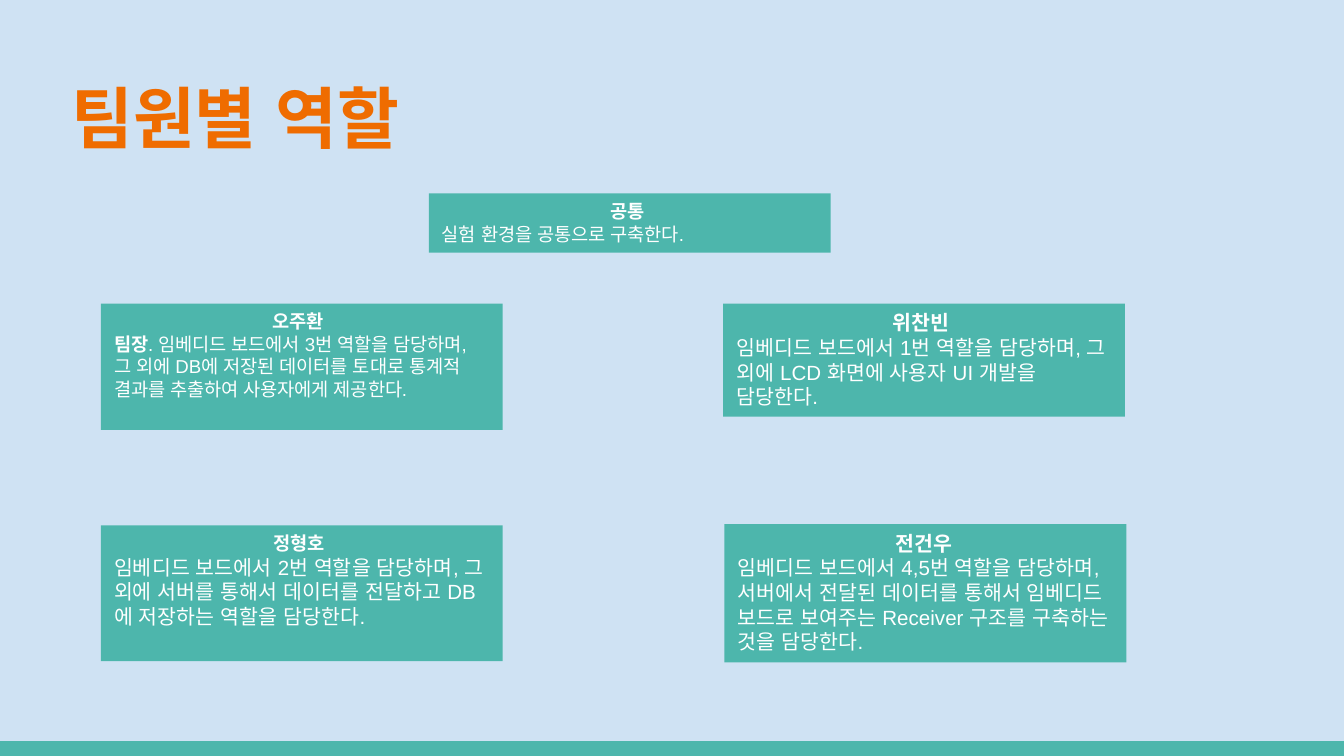
import pptx
import pptx.util
import pptx.dml.color
import pptx.enum.lang
import pptx.enum.shapes
import pptx.enum.text
import lxml.etree

TITLE = "팀원별 역할"
CARDS = [
    dict(name="공통 ", sizes=(10, 10), spot=(3.19, 1.44), tall=0.44, inset=0.1,
         body=[("실험 환경을 공통으로 구축한다.", False)]),
    dict(name="오주환 ", sizes=(10, 10), spot=(0.75, 2.26), tall=0.94, inset=0.11,
         body=[("팀장", True),
               (". 임베디드 보드에서 3번 역할을 담당하며, 그 외에 DB에 저장된 데이터를 "
                "토대로 통계적 결과를 추출하여 사용자에게 제공한다.", False)]),
    dict(name="위찬빈 ", sizes=(11, 11), spot=(5.38, 2.26), tall=0.84, inset=0.1,
         body=[("임베디드 보드에서 1번 역할을 담당하며, 그 외에 LCD 화면에 사용자 "
                "UI 개발을 담당한다.", False)]),
    dict(name="정형호 ", sizes=(10, 11), spot=(0.75, 3.91), tall=1.01, inset=0.1,
         body=[("임베디드 보드에서 2번 역할을 담당하며, 그 외에 서버를 통해서 데이터를 "
                "전달하고 DB에 저장하는 역할을 담당한다.", False)]),
    dict(name="전건우 ", sizes=(11, 11), spot=(5.39, 3.9), tall=1.03, inset=0.08,
         body=[("임베디드 보드에서 4,5번 역할을 담당하며, 서버에서 전달된 데이터를 통해서 "
                "임베디드 보드로 보여주는 Receiver 구조를 구축하는 것을 담당한다.", False)]),
]
THEME = dict(back="CFE2F3", teal="4DB6AC", head="EF6C00", text="FFFFFF",
             font="Arial", thin="Arial Narrow", big=36)
WIDE = 10
HIGH = WIDE * 9 / 16
CARD, BAR = 2.99, 0.11

Inch = pptx.util.Inches
Align = pptx.enum.text.PP_ALIGN
Anchor = pptx.enum.text.MSO_ANCHOR
Fit = pptx.enum.text.MSO_AUTO_SIZE
Korean = pptx.enum.lang.MSO_LANGUAGE_ID.KOREAN


def paint(fill, key):
    fill.solid()
    fill.fore_color.rgb = pptx.dml.color.RGBColor.from_string(THEME[key])


def apply(item, style):
    for key, value in style.items():
        setattr(item, key, value)


def align(para, side):
    para.alignment = side
    para._p.get_or_add_pPr().set("hangingPunct", "0")


def write(para, text, size, bold, color="text", font="font"):
    run = para.add_run()
    run.text = text
    apply(run.font, dict(size=pptx.util.Pt(size), bold=bold,
                         name=THEME[font], language_id=Korean))
    paint(run.font.fill, color)
    east = lxml.etree.SubElement(run.font._element, pptx.oxml.ns.qn("a:ea"))
    east.set("typeface", THEME["font"])


def block(slide, left, top, wide, tall):
    shape = slide.shapes.add_shape(
        pptx.enum.shapes.MSO_SHAPE.RECTANGLE,
        *map(Inch, (left, top, wide, tall)))
    shape.shadow.inherit = False
    paint(shape.fill, "teal")
    shape.line.fill.background()
    return shape


def card(slide, data):
    frame = block(slide, *data["spot"], CARD, data["tall"]).text_frame
    apply(frame, dict(word_wrap=True, vertical_anchor=Anchor.TOP,
                      margin_right=Inch(data["inset"]),
                      auto_size=Fit.SHAPE_TO_FIT_TEXT))
    name, body = frame.paragraphs[0], frame.add_paragraph()
    align(name, Align.CENTER)
    align(body, Align.LEFT)
    write(name, data["name"], data["sizes"][0], True)
    for text, bold in data["body"]:
        write(body, text, data["sizes"][1], bold)


def title(slide):
    shape = slide.shapes.title
    apply(shape, dict(left=Inch(0.43), top=Inch(0.47),
                      width=Inch(9.32), height=Inch(0.77)))
    frame = shape.text_frame
    apply(frame, dict(word_wrap=True, vertical_anchor=Anchor.TOP, auto_size=Fit.NONE))
    apply(frame, {"margin_" + side: Inch(0.1)
                  for side in ("left", "top", "right", "bottom")})
    para = frame.paragraphs[0]
    align(para, Align.LEFT)
    write(para, TITLE, THEME["big"], True, "head", "thin")


def main():
    deck = pptx.Presentation()
    apply(deck, dict(slide_width=Inch(WIDE), slide_height=Inch(HIGH)))
    slide = deck.slides.add_slide(deck.slide_layouts[5])
    paint(slide.background.fill, "back")
    block(slide, 0, HIGH - BAR, WIDE, BAR)
    title(slide)
    for data in CARDS:
        card(slide, data)
    deck.save("out.pptx")


if __name__ == "__main__":
    main()
